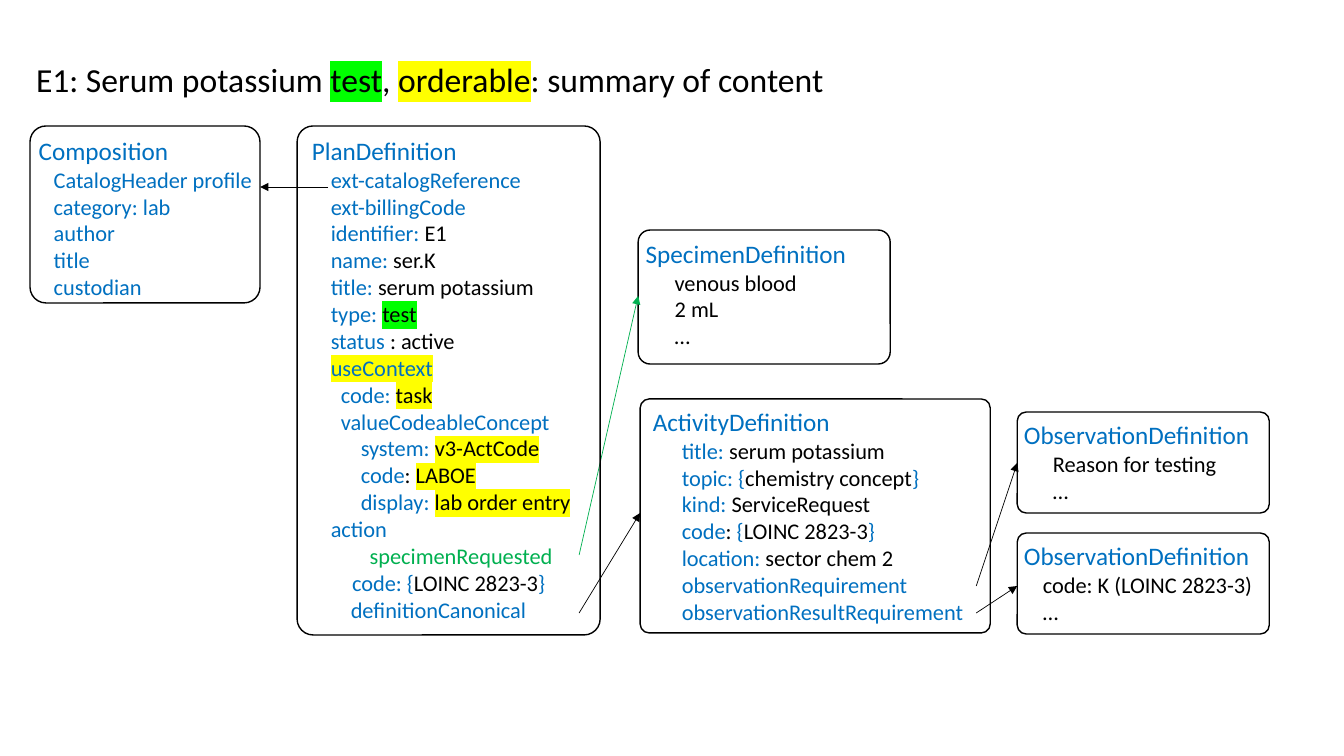
from lxml import etree
from pptx import Presentation
from pptx.dml.color import RGBColor
from pptx.enum.shapes import MSO_CONNECTOR, MSO_SHAPE
from pptx.enum.text import MSO_ANCHOR, PP_ALIGN
from pptx.oxml.ns import qn
from pptx.util import Emu, Inches, Pt

ROUND_RECT = MSO_SHAPE.ROUNDED_RECTANGLE
STRAIGHT = MSO_CONNECTOR.STRAIGHT
TOP = MSO_ANCHOR.TOP
LEFT, CENTER = PP_ALIGN.LEFT, PP_ALIGN.CENTER

SCALE = 914400 / 100.8
FONT = "Calibri"
COLORS = {
    "blue": "0070C0",
    "black": "000000",
    "green": "00B050",
    "lime": "00FF00",
    "yellow": "FFFF00",
}


def px(n):
    return Emu(round(n * SCALE))


def rgb(name):
    return RGBColor.from_string(COLORS[name])


def blue(text, mark=None):
    return text, "blue", mark


def black(text, mark=None):
    return text, "black", mark


def line(indent, *runs, align=LEFT):
    return indent, runs, align


def add_run(p, text, size=16, color="black", mark=None):
    r = p.add_run()
    r.text = text
    r.font.size = Pt(size)
    r.font.color.rgb = rgb(color)
    if mark:
        highlight = etree.SubElement(r.font._element, qn("a:highlight"))
        etree.SubElement(highlight, qn("a:srgbClr")).set("val", COLORS[mark])
    r.font.name = FONT


def add_line(p, entry, size=16):
    indent, runs, align = entry
    p.alignment = align
    if indent:
        p_pr = p._p.get_or_add_pPr()
        p_pr.set("marL", str(px(indent)))
        p_pr.set("indent", "0")
    for text, color, mark in runs:
        add_run(p, text, size, color, mark)


def set_frame(tf, left=10, right=10):
    tf.word_wrap = True
    tf.vertical_anchor = TOP
    tf.margin_left, tf.margin_right = px(left), px(right)
    tf.margin_top = tf.margin_bottom = px(5)


def add_title(s, x, y, w, h, *runs):
    tf = s.shapes.add_textbox(px(x), px(y), px(w), px(h)).text_frame
    set_frame(tf)
    add_line(tf.paragraphs[0], line(0, *runs), size=24)


def add_box(s, x, y, w, h, radius, heading, lines, left=4, right=4):
    sp = s.shapes.add_shape(ROUND_RECT, px(x), px(y), px(w), px(h))
    sp.adjustments[0] = radius / min(w, h)
    sp.shadow.inherit = False
    sp.fill.background()
    sp.line.color.rgb = rgb("black")
    sp.line.width = Pt(1)
    tf = sp.text_frame
    set_frame(tf, left, right)
    add_line(tf.paragraphs[0], line(0, blue(heading)), size=18)
    for entry in lines:
        add_line(tf.add_paragraph(), entry)


def add_arrow(s, x1, y1, x2, y2, color="black"):
    c = s.shapes.add_connector(STRAIGHT, px(x1), px(y1), px(x2), px(y2))
    c.line.color.rgb = rgb(color)
    c.line.width = Pt(0.5)
    etree.SubElement(c.line._get_or_add_ln(), qn("a:tailEnd")).set("type", "triangle")
    etree.SubElement(c._element.spPr, qn("a:effectLst"))


def main():
    prs = Presentation()
    prs.slide_width, prs.slide_height = Inches(13.33), Inches(7.5)
    s = prs.slides.add_slide(prs.slide_layouts[6])

    loinc = black("LOINC 2823-3")

    # Activity and specimen
    add_box(s, 640, 399, 350, 234, 9, "ActivityDefinition", [
        line(29, blue("title: "), black("serum potassium")),
        line(29, blue("topic: {"), black("chemistry concept"), blue("}")),
        line(29, blue("kind: "), black("ServiceRequest")),
        line(29, blue("code"), black(": "), blue("{"), loinc, blue("}")),
        line(29, blue("location: "), black("sector chem 2")),
        line(29, blue("observationRequirement")),
        line(29, blue("observationResultRequirement")),
    ], left=10, right=10)
    add_box(s, 638, 230, 252, 134, 12, "SpecimenDefinition",
            [line(29, black(t)) for t in ("venous blood", "2 mL", "…")])

    # Observations
    for y, indent, text in ((533, 19, "code: K (LOINC 2823-3)"),
                            (412, 29, "Reason for testing")):
        add_box(s, 1017, y, 252, 101, 9, "ObservationDefinition",
                [line(indent, black(t)) for t in (text, "…")])

    # References between the definitions
    add_arrow(s, 976, 613, 1017, 586)
    add_arrow(s, 579, 555, 638, 296, "green")
    add_arrow(s, 579, 613, 640, 513)
    add_arrow(s, 976, 586, 1017, 463)
    add_arrow(s, 328, 187, 260, 187)

    # Composition
    fields = ("CatalogHeader profile", "category: lab", "author", "title", "custodian")
    add_box(s, 30, 126, 230, 177, 16, "Composition",
            [line(15, blue(t)) for t in fields], right=0)

    # Plan
    add_box(s, 297, 126, 303, 509, 16, "PlanDefinition", [
        line(19, blue("ext-catalogReference")),
        line(19, blue("ext-billingCode")),
        line(19, blue("identifier: "), black("E1")),
        line(19, blue("name: "), black("ser.K")),
        line(19, blue("title: "), black("serum potassium")),
        line(19, blue("type: "), black("test", "lime")),
        line(19, blue("status"), black(" : active")),
        line(19, blue("useContext", "yellow")),
        line(29, blue("code: "), black("task", "yellow")),
        line(29, blue("valueCodeableConcept")),
        line(49, blue("system: "), black("v3-ActCode", "yellow")),
        line(49, blue("code"), black(": "), black("LABOE", "yellow")),
        line(49, blue("display: "), black("lab order entry", "yellow")),
        line(19, blue("action")),
        line(25, ("specimenRequested", "green", None), align=CENTER),
        line(0, blue("code: {"), loinc, blue("}"), align=CENTER),
        line(39, blue("definitionCanonical")),
    ], left=10, right=10)

    # Title
    add_title(s, 26, 54, 1199, 50,
              black("E1: Serum potassium "), black("test", "lime"), black(", "),
              black("orderable", "yellow"), black(": summary of content"))

    prs.save("out.pptx")


main()
